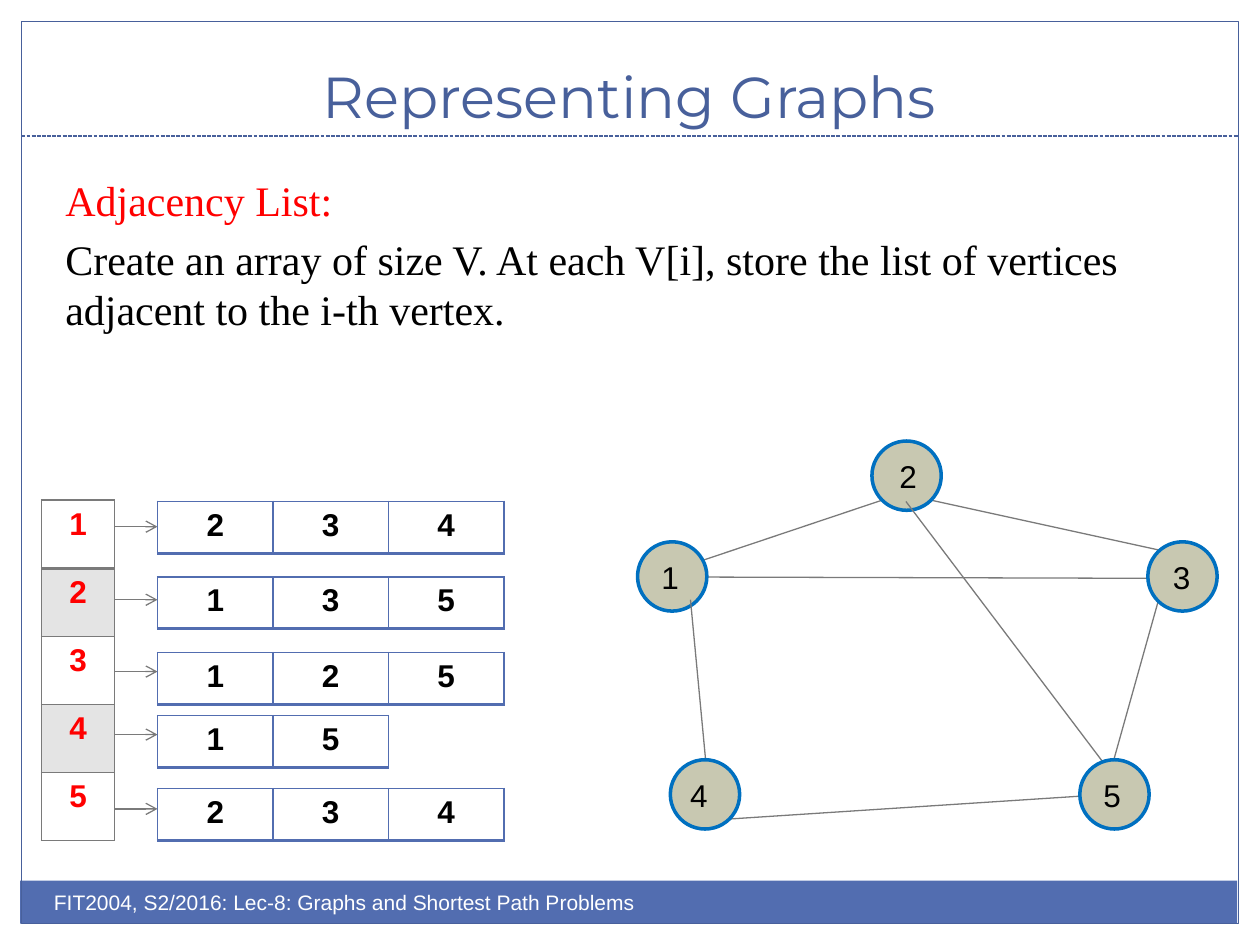
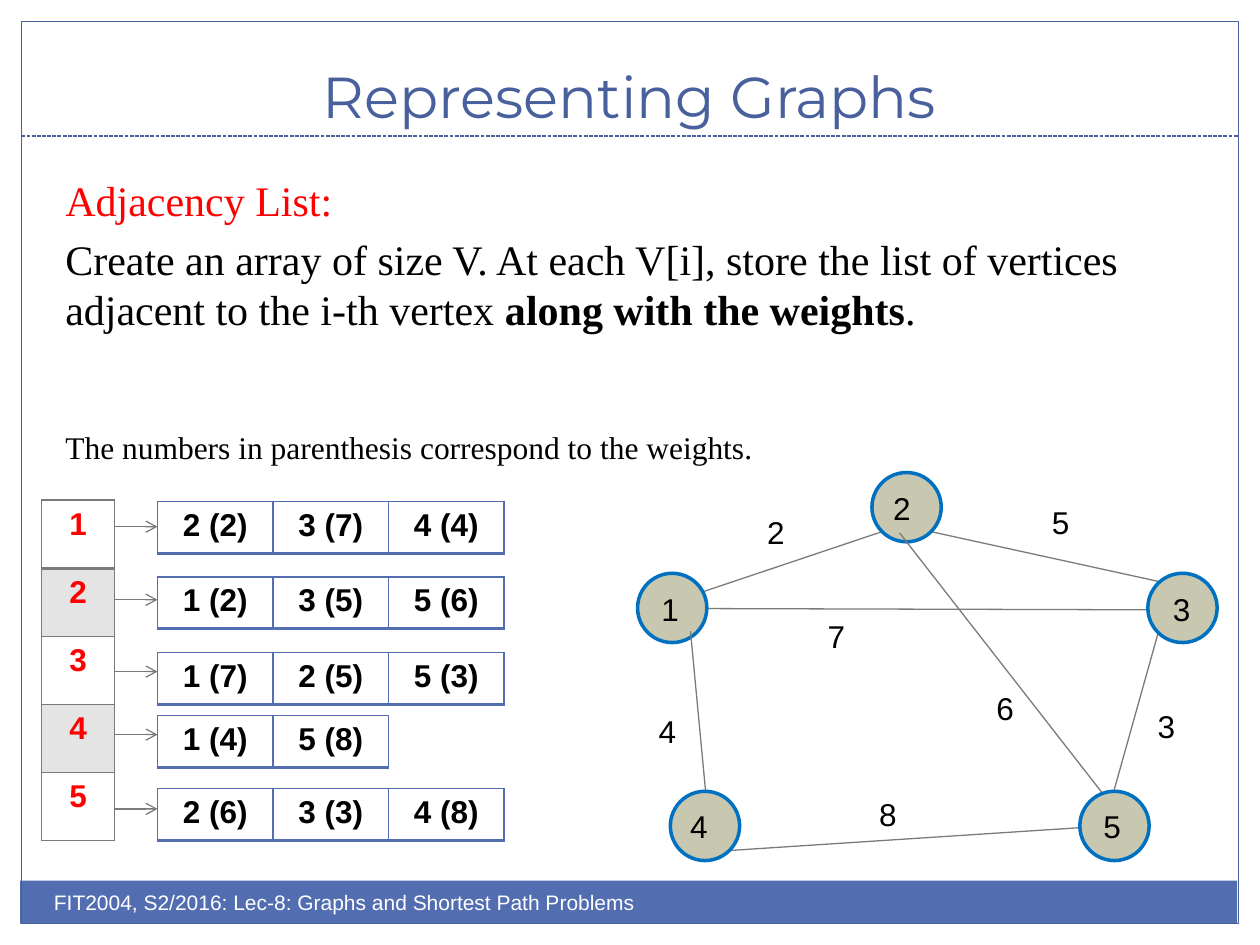
from dataclasses import dataclass

from lxml import etree
from pptx import Presentation
from pptx.dml.color import RGBColor
from pptx.enum.dml import MSO_LINE
from pptx.enum.shapes import MSO_CONNECTOR, MSO_SHAPE
from pptx.enum.text import MSO_ANCHOR, PP_ALIGN
from pptx.oxml.ns import qn
from pptx.util import Inches, Pt


@dataclass(frozen=True)
class Theme:
    frame: str = "48609B"
    band: str = "526DB0"
    grey: str = "7A7A7A"
    node: str = "C8C8B1"
    node_edge: str = "0070C0"
    red: str = "FF0000"
    black: str = "000000"
    white: str = "FFFFFF"
    title_font: str = "Montserrat"
    body_font: str = "Times New Roman"
    label_font: str = "Arial"
    title_size: int = 33
    body_size: int = 24
    label_size: int = 18
    footer_size: int = 12


THEME = Theme()
FOOTER = "FIT2004, S2/2016: Lec-8: Graphs and Shortest Path Problems"

INDEX_WIDTH, INDEX_ROW = 0.58, 0.54
LIST_LEFT, LIST_CELL, LIST_HEIGHT = 0.92, 2.75 / 3, 0.41
# Top of each vertex's list and height of its arrow, from the top of the index
LIST_TOPS = (0.01, 0.61, 1.21, 1.71, 2.29)
ARROW_TOPS = (0.21, 0.79, 1.36, 1.86, 2.45)

NODE_SIZE = 0.55
LABEL_SIZE = (0.34, 0.4)
# Vertex: left, top and label indent, relative to the graph
UPPER_NODES = {"1": (0, 0.8, 0.09), "2": (1.86, 0, 0.12), "3": (4.05, 0.8, 0.1)}
LOWER_NODES = {"4": (0.26, 2.53, 0.06), "5": (3.51, 2.53, 0.09)}
# Edge: start and end, relative to the graph
BACK_EDGES = (
    (1.94, 0.47, 0.27, 1.03),
    (2.33, 0.47, 4.25, 0.89),
    (0.73, 3, 3.65, 2.81),
    (0.55, 1.08, 4.08, 1.09),
    (4.13, 1.28, 3.78, 2.53),
)
FRONT_EDGES = ((0.42, 1.26, 0.54, 2.53), (2.13, 0.48, 3.74, 2.61))
# Weight and its left and top, relative to the graph
WEIGHTS = (
    ("4", 0.07, 1.85), ("8", 1.82, 2.51), ("7", 1.41, 1.1), ("6", 2.75, 1.67),
    ("3", 4.03, 1.81), ("2", 0.93, 0.27), ("5", 3.19, 0.19),
)


def rgb(color):
    return RGBColor.from_string(color)


def add_run(paragraph, text, size=THEME.label_size, color=THEME.black,
            font=THEME.label_font, bold=False):
    run = paragraph.add_run()
    run.text = text
    run.font.size = Pt(size)
    run.font.name = font
    run.font.bold = bold
    run.font.color.rgb = rgb(color)


def add_text_box(slide, box, wrap=True, anchor=MSO_ANCHOR.TOP):
    text_frame = slide.shapes.add_textbox(*map(Inches, box)).text_frame
    text_frame.word_wrap = wrap
    text_frame.vertical_anchor = anchor
    return text_frame


def add_label(slide, text, left, top):
    text_frame = add_text_box(slide, (left, top, *LABEL_SIZE), wrap=False)
    add_run(text_frame.paragraphs[0], text)


def add_shape(slide, kind, box, fill=None, line=None, width=0.75):
    shape = slide.shapes.add_shape(kind, *map(Inches, box))
    shape.shadow.inherit = False
    if fill:
        shape.fill.solid()
        shape.fill.fore_color.rgb = rgb(fill)
    else:
        shape.fill.background()
    if line:
        shape.line.color.rgb = rgb(line)
        shape.line.width = Pt(width)
    else:
        shape.line.fill.background()


def add_line(slide, ends, color=THEME.grey, dash=None, arrow=False):
    connector = slide.shapes.add_connector(MSO_CONNECTOR.STRAIGHT, *map(Inches, ends))
    connector.line.color.rgb = rgb(color)
    connector.line.width = Pt(0.75)
    if dash:
        connector.line.dash_style = dash
    properties = connector._element.spPr
    if arrow:
        etree.SubElement(properties.find(qn("a:ln")), qn("a:tailEnd"), type="arrow")
    etree.SubElement(properties, qn("a:effectLst"))


def set_borders(cell, color, bottom_width):
    properties = cell._tc.get_or_add_tcPr()
    for side, width in (("L", 1), ("R", 1), ("T", 1), ("B", bottom_width)):
        line = etree.SubElement(properties, qn(f"a:ln{side}"), w=str(Pt(width)))
        fill = etree.SubElement(line, qn("a:solidFill"))
        etree.SubElement(fill, qn("a:srgbClr"), val=color)


def add_table(slide, box, rows):
    """Add a plain table with equal cells and yield each row number and cell."""
    table = slide.shapes.add_table(len(rows), len(rows[0]), *map(Inches, box)).table
    table.first_row = table.horz_banding = False
    for row_number, row in enumerate(rows):
        for column_number, text in enumerate(row):
            yield row_number, table.cell(row_number, column_number), text


def fill_cell(cell, text, text_color, border, bottom_width, tint=None):
    set_borders(cell, border, bottom_width)
    if tint:
        cell.fill.solid()
        cell.fill.fore_color.rgb = rgb(tint)
        color = cell._tc.tcPr.find(qn("a:solidFill"))[0]
        etree.SubElement(color, qn("a:alpha"), val="20000")
    else:
        cell.fill.background()
    paragraph = cell.text_frame.paragraphs[0]
    paragraph.alignment = PP_ALIGN.CENTER
    add_run(paragraph, text, color=text_color, bold=True)


def add_frame(slide, title):
    """Draw the band, border, title and footer that every slide shares."""
    add_shape(slide, MSO_SHAPE.RECTANGLE, (0.16, 6.99, 9.66, 0.34), fill=THEME.band)
    add_shape(slide, MSO_SHAPE.RECTANGLE, (0.17, 0.17, 9.66, 7.16), line=THEME.frame)
    add_line(slide, (0.17, 1.08, 9.83, 1.08), THEME.frame, dash=MSO_LINE.SQUARE_DOT)
    heading = add_text_box(slide, (0.33, 0.25, 9.33, 0.83), anchor=MSO_ANCHOR.BOTTOM)
    heading.paragraphs[0].alignment = PP_ALIGN.CENTER
    add_run(heading.paragraphs[0], title, size=THEME.title_size,
            color=THEME.frame, font=THEME.title_font)
    footer = add_text_box(slide, (0.33, 7.01, 5, 0.4))
    add_run(footer.paragraphs[0], FOOTER, size=THEME.footer_size, color=THEME.white)


def add_body(slide, box, description, note=None):
    """Write the heading, the (text, bold) runs of the description and a note."""
    text_frame = add_text_box(slide, box)

    def start_paragraph(paragraph, size, space_before):
        paragraph.line_spacing = Pt(size * 1.19)
        paragraph.space_before = Pt(space_before)
        return paragraph

    heading = start_paragraph(text_frame.paragraphs[0], THEME.body_size, 0)
    add_run(heading, "Adjacency List:", size=THEME.body_size,
            color=THEME.red, font=THEME.body_font)
    paragraph = start_paragraph(text_frame.add_paragraph(), THEME.body_size, 4.8)
    for text, bold in description:
        add_run(paragraph, text, size=THEME.body_size, font=THEME.body_font, bold=bold)
    if note:
        paragraph = start_paragraph(text_frame.add_paragraph(), THEME.label_size, 54)
        add_run(paragraph, note, font=THEME.body_font)


def add_adjacency_lists(slide, left, top, lists):
    vertices = [[str(number)] for number in range(1, len(lists) + 1)]
    index_box = (left, top, INDEX_WIDTH, INDEX_ROW * len(lists))
    for row, cell, text in add_table(slide, index_box, vertices):
        fill_cell(cell, text, THEME.red, THEME.grey, 1 if row else 2,
                  tint=THEME.grey if row % 2 else None)
    list_left = left + LIST_LEFT
    for neighbours, list_top, arrow_top in zip(lists, LIST_TOPS, ARROW_TOPS):
        list_box = (list_left, top + list_top, LIST_CELL * len(neighbours), LIST_HEIGHT)
        for _, cell, text in add_table(slide, list_box, [neighbours]):
            fill_cell(cell, text, THEME.black, THEME.band, 2)
        arrow_y = top + arrow_top
        add_line(slide, (left + INDEX_WIDTH, arrow_y, list_left, arrow_y), arrow=True)


def add_graph(slide, left, top, weights=(), shift=0):
    """Draw the graph; shift moves the label of vertex 2 and its edge to vertex 5."""
    def add_edges(edges):
        for x1, y1, x2, y2 in edges:
            add_line(slide, (left + x1, top + y1, left + x2, top + y2))

    def add_nodes(nodes):
        for name, (x, y, indent) in nodes.items():
            add_shape(slide, MSO_SHAPE.OVAL, (left + x, top + y, NODE_SIZE, NODE_SIZE),
                      fill=THEME.node, line=THEME.node_edge, width=2)
            nudge = shift if name == "2" else 0
            add_label(slide, name, left + x + indent + nudge, top + y + 0.08)

    add_edges(BACK_EDGES)
    add_nodes(UPPER_NODES)
    one_to_four, (x1, y1, x2, y2) = FRONT_EDGES
    add_edges((one_to_four, (x1 + shift, y1, x2, y2)))
    add_nodes(LOWER_NODES)
    for weight, x, y in weights:
        add_label(slide, weight, left + x, top + y)


def add_graph_slide(presentation, description, lists, graph_top,
                    note=None, weights=(), shift=0):
    slide = presentation.slides.add_slide(presentation.slide_layouts[6])
    add_frame(slide, "Representing Graphs")
    add_body(slide, (0.42, 1.34, 9.42, 5), description, note)
    add_adjacency_lists(slide, 0.33, 3.97, lists)
    add_graph(slide, 5.06, graph_top, weights, shift)


def main():
    presentation = Presentation()
    presentation.slide_width, presentation.slide_height = Inches(10), Inches(7.5)
    intro = ("Create an array of size V. At each V[i], store the list of vertices "
             "adjacent to the i-th vertex")
    add_graph_slide(
        presentation,
        description=[(intro + ".", False)],
        lists=["234", "135", "125", "15", "234"],
        graph_top=3.5,
    )
    add_graph_slide(
        presentation,
        description=[(intro + " ", False), ("along with the weights", True), (".", False)],
        lists=[
            ["2 (2)", "3 (7)", "4 (4)"],
            ["1 (2)", "3 (5)", "5 (6)"],
            ["1 (7)", "2 (5)", "5 (3)"],
            ["1 (4)", "5 (8)"],
            ["2 (6)", "3 (3)", "4 (8)"],
        ],
        graph_top=3.75,
        note="The numbers in parenthesis correspond to the weights.",
        weights=WEIGHTS,
        shift=-0.05,
    )
    presentation.save("out.pptx")


if __name__ == "__main__":
    main()
